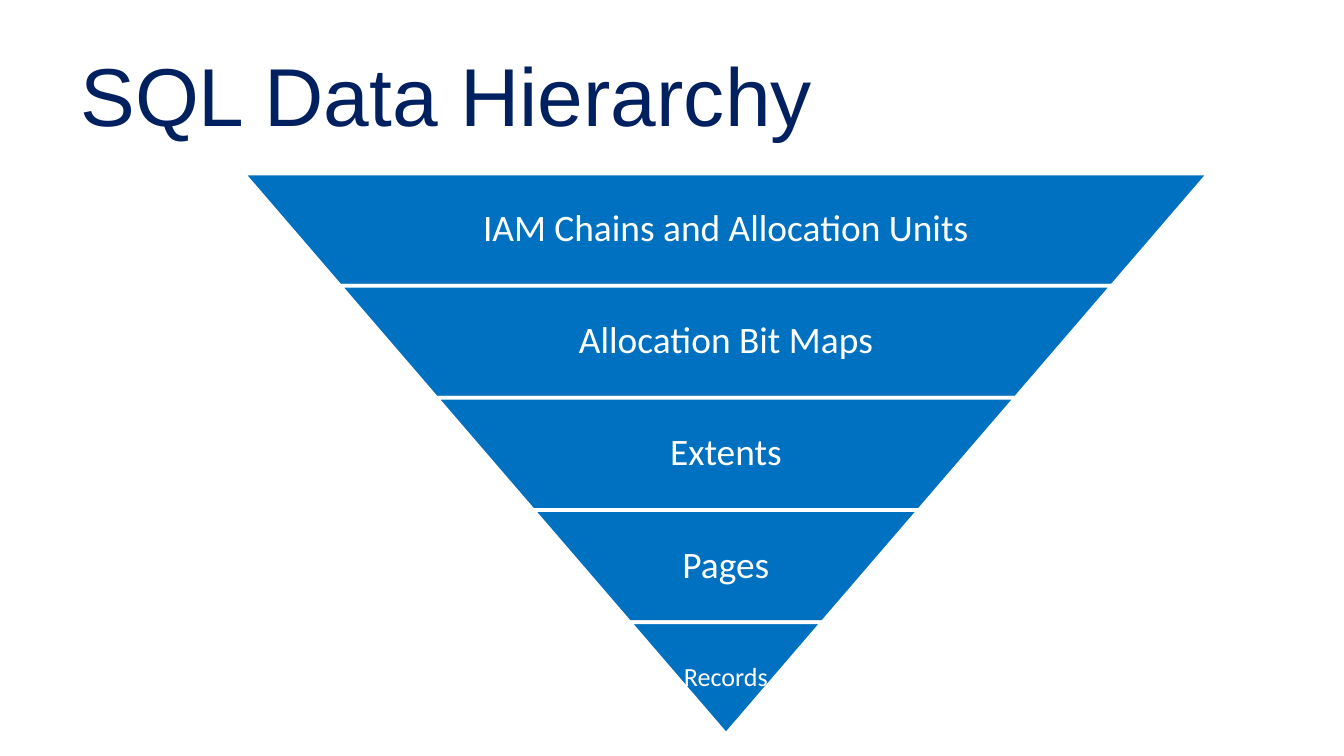
from pptx import Presentation
from pptx.dml.color import RGBColor
from pptx.enum.shapes import MSO_SHAPE as Shape
from pptx.enum.text import MSO_ANCHOR as Anchor, PP_ALIGN as Align
from pptx.util import Cm, Pt

NAVY = RGBColor(0x00, 0x20, 0x60)
BLUE = RGBColor(0x00, 0x70, 0xC0)
WHITE = RGBColor(0xFF, 0xFF, 0xFF)

LEVELS = [
    ("IAM Chains and Allocation Units", 20, 0.65),
    ("Allocation Bit Maps", 20, 0.65),
    ("Extents", 20, 0.65),
    ("Pages", 20, 0.65),
    ("Records", 14, 1),
]
PYRAMID_LEFT, PYRAMID_TOP, PYRAMID_WIDTH = 4.6, 3.28, 18.24
BAND_HEIGHT = 2.12
INSET = PYRAMID_WIDTH / 2 / len(LEVELS)


def add_text(slide, left, top, width, height, text, font_name, size, color):
    box = slide.shapes.add_textbox(Cm(left), Cm(top), Cm(width), Cm(height))
    frame = box.text_frame
    frame.word_wrap = True
    frame.vertical_anchor = Anchor.MIDDLE
    run = frame.paragraphs[0].add_run()
    run.text = text
    run.font.name = font_name
    run.font.size = Pt(size)
    run.font.color.rgb = color
    return frame


presentation = Presentation()
presentation.slide_width = Cm(25.4)
presentation.slide_height = Cm(14.29)
slide = presentation.slides.add_slide(presentation.slide_layouts[6])

add_text(slide, 1.27, 0.58, 22.86, 2.39, "SQL Data Hierarchy", "Arial", 44, NAVY)

for index, (name, size, label_share) in enumerate(LEVELS):
    left = PYRAMID_LEFT + index * INSET
    top = PYRAMID_TOP + index * BAND_HEIGHT
    width = PYRAMID_WIDTH - 2 * index * INSET

    band = slide.shapes.add_shape(
        Shape.TRAPEZOID, Cm(left), Cm(top), Cm(width), Cm(BAND_HEIGHT))
    band.rotation = 180
    band.adjustments[0] = INSET / BAND_HEIGHT
    band.shadow.inherit = False
    band.fill.solid()
    band.fill.fore_color.rgb = BLUE
    band.line.color.rgb = WHITE
    band.line.width = Pt(2)

    label_width = width * label_share
    label_left = left + (width - label_width) / 2
    frame = add_text(slide, label_left, top, label_width, BAND_HEIGHT,
                     name, "Calibri", size, WHITE)
    frame.margin_left = frame.margin_right = Cm(0.07)
    frame.margin_top = frame.margin_bottom = Cm(0.07)
    paragraph = frame.paragraphs[0]
    paragraph.alignment = Align.CENTER
    paragraph.line_spacing = 0.9

presentation.save("out.pptx")
